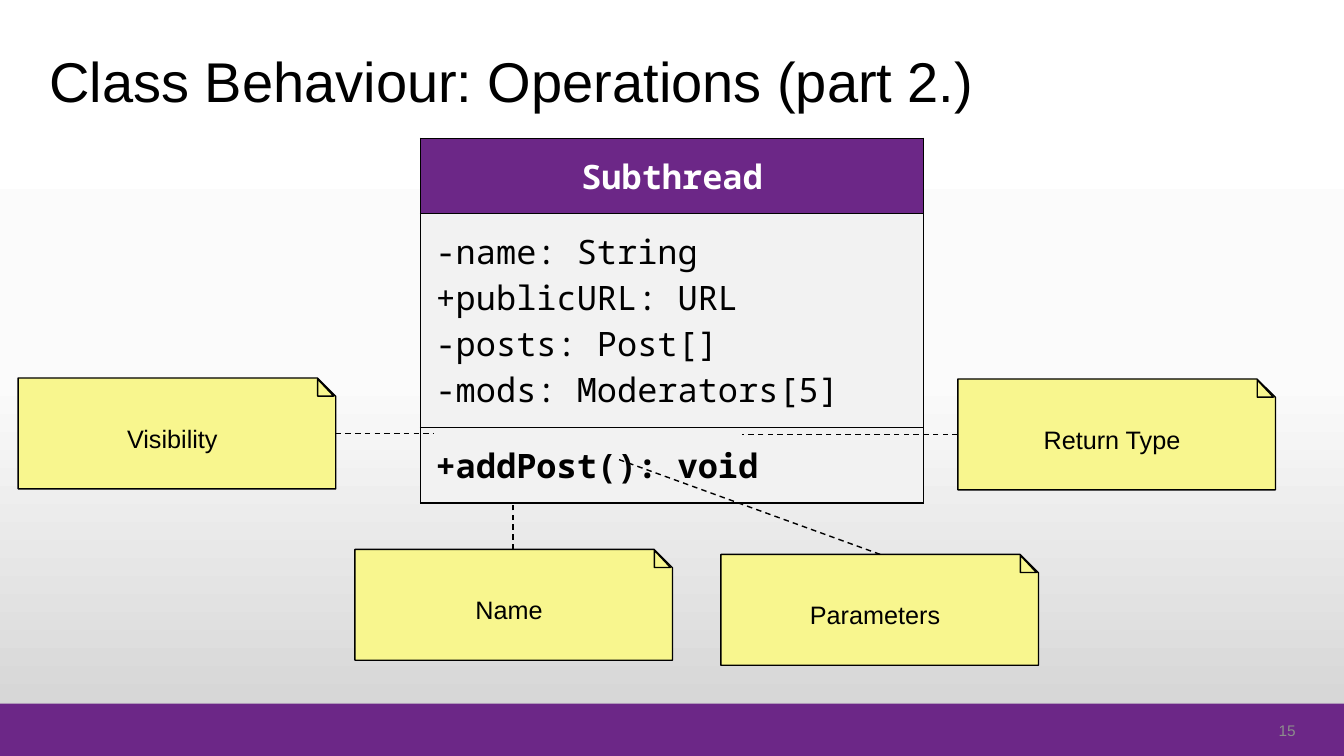
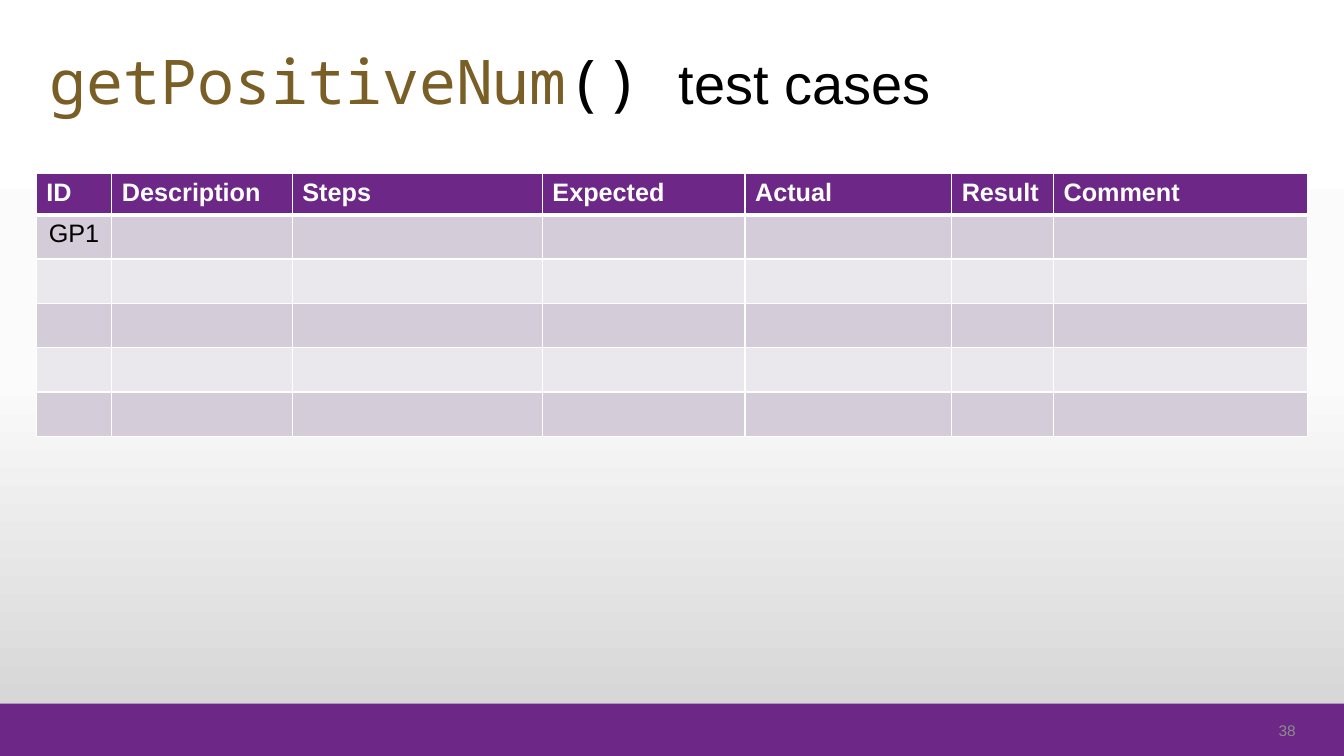
from copy import deepcopy
from dataclasses import dataclass

from lxml.etree import SubElement
from pptx import Presentation
from pptx.dml.color import RGBColor
from pptx.enum.dml import MSO_LINE
from pptx.enum.shapes import MSO_CONNECTOR, MSO_SHAPE
from pptx.enum.text import MSO_ANCHOR, MSO_AUTO_SIZE, PP_ALIGN
from pptx.oxml.ns import qn
from pptx.util import Inches, Pt


@dataclass(frozen=True)
class Theme:
    purple: str = "6C2787"
    black: str = "000000"
    white: str = "FFFFFF"
    grey: str = "8C8C8C"
    panel: str = "F2F2F2"
    note: str = "F8F68E"
    code: str = "795E26"
    stripes: tuple = ("D4CDD9", "EBE8ED")
    backdrop: tuple = ((0, "FFFFFF"), (0.5, "FBFBFB"), (1, "D1D1D1"))
    sans: str = "Arial"
    mono: str = "Noto Sans Mono"
    title: int = 40
    code_title: int = 44
    uml: int = 24
    body: int = 18
    number: int = 11


T = Theme()
TITLE_BOX = (0.39, 0.36, 10.36, 0.87)
NUMBER_BOX = (12.4, 7.13, 0.55, 0.24)
BAND_BOX = (0, 6.98, 13.33, 0.52)
NOTE_SIZE = (3.15, 1.1)


def rgb(color):
    return RGBColor.from_string(color)


def inches(box):
    return [Inches(v) for v in box]


def style(font, size, color=T.black, name=T.sans, bold=False):
    font.size, font.name, font.bold = Pt(size), name, bold
    font.color.rgb = rgb(color)


def paint(sp, fill, line=None):
    sp.shadow.inherit = False
    sp.fill.solid()
    sp.fill.fore_color.rgb = rgb(fill)
    if line:
        sp.line.color.rgb = rgb(line)
        sp.line.width = Pt(1)
    else:
        sp.line.fill.background()


def set_master(master, s):
    fill = master.background.fill
    fill.gradient()
    fill.gradient_angle = 270
    first = fill.gradient_stops[0]
    gs = master.element.find(".//" + qn("p:bgPr") + "//" + qn("a:gs"))
    gs.addnext(deepcopy(gs))
    for stop, (position, color) in zip(fill.gradient_stops, T.backdrop):
        stop.position = position
        stop.color.rgb = rgb(color)
    band = s.shapes.add_shape(MSO_SHAPE.RECTANGLE, *inches(BAND_BOX))
    paint(band, T.purple)
    band.element.find(".//" + qn("p:cNvPr")).set("id", "99")
    master.shapes.element.insert(2, band.element)


def add_frame(s, number, title_runs):
    sp = s.shapes.title
    sp.left, sp.top, sp.width, sp.height = inches(TITLE_BOX)
    tf = sp.text_frame
    tf.auto_size = MSO_AUTO_SIZE.NONE
    tf.vertical_anchor = MSO_ANCHOR.MIDDLE
    p = tf.paragraphs[0]
    p.alignment = PP_ALIGN.LEFT
    for text, size, color, name in title_runs:
        r = p.add_run()
        r.text = text
        style(r.font, size, color, name)

    tf = s.shapes.add_textbox(*inches(NUMBER_BOX)).text_frame
    tf.word_wrap = True
    tf.vertical_anchor = MSO_ANCHOR.MIDDLE
    p = tf.paragraphs[0]
    p.text = str(number)
    p.alignment = PP_ALIGN.RIGHT
    style(p.font, T.number, T.grey)


def add_note(s, left, top, text):
    width, height = NOTE_SIZE
    group = s.shapes.add_group_shape()
    sp = group.shapes.add_shape(MSO_SHAPE.SNIP_1_RECTANGLE, *inches((left, top, width, height)))
    fold = group.shapes.add_shape(
        MSO_SHAPE.RIGHT_TRIANGLE, *inches((left + width - 0.18, top + 0.01, 0.16, 0.17)))
    for part in (sp, fold):
        paint(part, T.note, T.black)
    tf = sp.text_frame
    tf.word_wrap = True
    tf.vertical_anchor = MSO_ANCHOR.MIDDLE
    p = tf.paragraphs[0]
    p.text = text
    p.alignment = PP_ALIGN.CENTER
    style(p.font, T.body)


def add_link(s, start, end):
    line = s.shapes.add_connector(MSO_CONNECTOR.STRAIGHT, *inches(start + end))
    line.line.color.rgb = rgb(T.black)
    line.line.width = Pt(1)
    line.line.dash_style = MSO_LINE.DASH
    SubElement(line.element.spPr, qn("a:effectLst"))


def set_cell(cell, fill, border, top=1, bottom=1):
    cell.fill.solid()
    cell.fill.fore_color.rgb = rgb(fill)
    tc_pr = cell.fill._xPr
    for i, (side, width) in enumerate(zip("LRTB", (1, 1, top, bottom))):
        ln = SubElement(tc_pr, qn("a:ln" + side), w=str(Pt(width)))
        solid = SubElement(ln, qn("a:solidFill"))
        SubElement(solid, qn("a:srgbClr"), val=border)
        tc_pr.insert(i, ln)


def new_table(s, left, top, widths, heights):
    box = inches((left, top, sum(widths), sum(heights)))
    table = s.shapes.add_table(len(heights), len(widths), *box).table
    for column, width in zip(table.columns, widths):
        column.width = Inches(width)
    for row, height in zip(table.rows, heights):
        row.height = Inches(height)
    return table


def add_class_box(s, left, top, width, name, attributes, operations):
    table = new_table(s, left, top, [width], [0.75, 2.12, 0.75])
    parts = (
        ([name], T.purple, T.white, True, PP_ALIGN.CENTER),
        (attributes, T.panel, T.black, False, PP_ALIGN.LEFT),
        (operations, T.panel, T.black, True, PP_ALIGN.LEFT),
    )
    for i, (lines, fill, color, bold, align) in enumerate(parts):
        cell = table.cell(i, 0)
        set_cell(cell, fill, T.black)
        cell.margin_left = cell.margin_right = Inches(0.15)
        cell.margin_top = cell.margin_bottom = Inches(0.15)
        cell.text = "\n".join(lines)
        for p in cell.text_frame.paragraphs:
            p.alignment = align
            style(p.font, T.uml, color, T.mono, bold)


def add_test_table(s, left, top, widths, headers, first_id, count):
    table = new_table(s, left, top, widths, [0.41] + [0.44] * count)
    for i, header in enumerate(headers):
        cell = table.cell(0, i)
        set_cell(cell, T.purple, T.white, bottom=3)
        cell.text = header
        style(cell.text_frame.paragraphs[0].font, T.body, T.white, bold=True)
        for row in range(1, count + 1):
            set_cell(table.cell(row, i), T.stripes[(row - 1) % 2], T.white,
                     top=3 if row == 1 else 1)
    cell = table.cell(1, 0)
    cell.text = first_id
    p = cell.text_frame.paragraphs[0]
    p.alignment = PP_ALIGN.CENTER
    style(p.font, T.body)


def build_operations(s):
    add_frame(s, 15, [("Class Behaviour: Operations (part 2.)", T.title, T.black, T.sans)])
    add_note(s, 0.18, 3.75, "Visibility")
    add_note(s, 3.52, 5.45, "Name")
    add_link(s, (5.09, 5.45), (5.09, 4.56))
    add_class_box(
        s, 4.17, 1.37, 4.99, "Subthread",
        ["-name: String", "+publicURL: URL", "-posts: Post[]", "-mods: Moderators[5]"],
        ["+addPost(): void"])
    add_link(s, (3.33, 4.3), (4.3, 4.3))
    add_note(s, 7.15, 5.5, "Parameters")
    add_link(s, (8.73, 5.5), (6.14, 4.56))
    add_note(s, 9.5, 3.76, "Return Type")
    add_link(s, (9.5, 4.31), (7.36, 4.31))


def build_test_cases(s):
    add_frame(s, 38, [
        ("getPositiveNum", T.code_title, T.code, T.mono),
        ("() ", T.code_title, T.black, T.mono),
        ("test cases", T.title, T.black, T.sans),
    ])
    add_test_table(
        s, 0.36, 1.72, [0.75, 1.79, 2.48, 2.01, 2.05, 1.01, 2.52],
        ["ID", "Description", "Steps", "Expected", "Actual", "Result", "Comment"],
        "GP1", 5)


def main():
    prs = Presentation()
    prs.slide_width, prs.slide_height = Inches(13.33), Inches(7.5)
    slides = [prs.slides.add_slide(prs.slide_layouts[5]) for _ in range(2)]
    set_master(prs.slide_master, slides[0])
    for build, s in zip((build_operations, build_test_cases), slides):
        build(s)
    prs.save("out.pptx")


if __name__ == "__main__":
    main()
